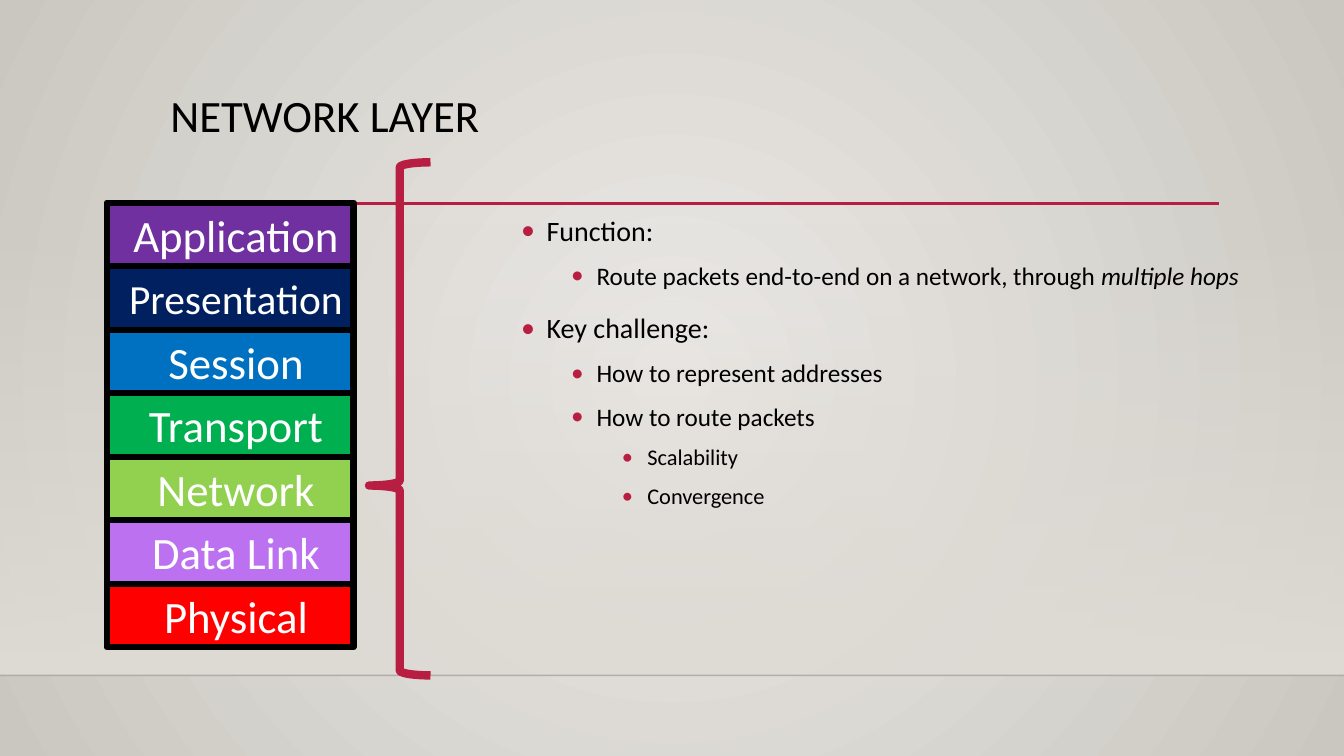
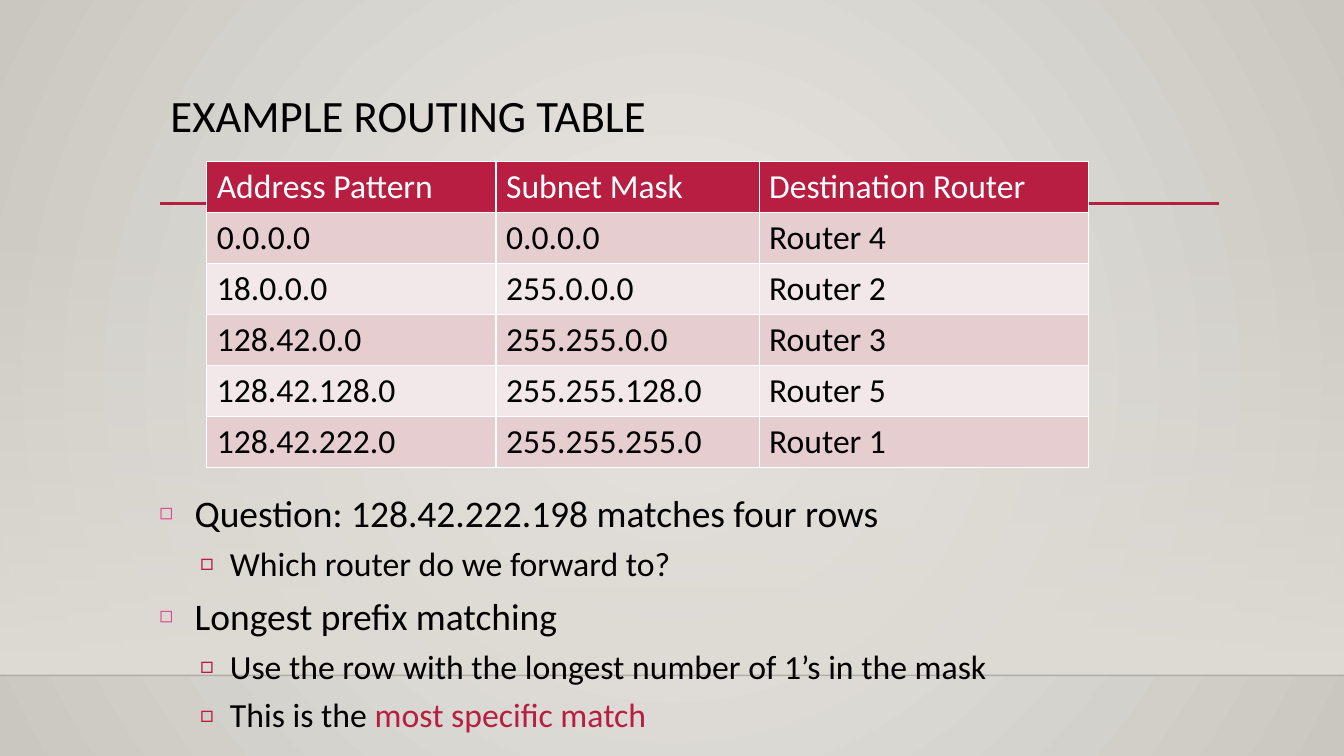
"""Build two slides about the network layer and its routing table."""
from dataclasses import dataclass
from typing import Any, NamedTuple

from lxml.etree import SubElement
from pptx import Presentation
from pptx.dml.color import RGBColor
from pptx.enum.shapes import MSO_CONNECTOR as Connector, MSO_SHAPE as Preset
from pptx.enum.text import MSO_ANCHOR as Anchor, MSO_AUTO_SIZE as AutoSize, PP_ALIGN as Align
from pptx.oxml.ns import qn
from pptx.util import Cm, Length, Pt

BLACK = RGBColor(0x00, 0x00, 0x00)
WHITE = RGBColor(0xFF, 0xFF, 0xFF)
CRIMSON = RGBColor(0xB7, 0x1E, 0x42)
PINK = RGBColor(0xDE, 0x47, 0x8E)
BACKGROUND_LIGHT = RGBColor(0xEC, 0xEA, 0xE7)
BACKGROUND_DARK = RGBColor(0xCA, 0xC7, 0xC1)
BAND = RGBColor(0xDF, 0xDB, 0xD5)
ROW_DARK = RGBColor(0xE6, 0xCD, 0xCF)
ROW_LIGHT = RGBColor(0xF3, 0xE8, 0xE9)
FONT = "Calibri"
SLIDE_WIDTH, SLIDE_HEIGHT = Cm(33.87), Cm(19.05)
FLOOR = Cm(17.02)


class Box(NamedTuple):
    """Position and size of an object."""

    left: Length
    top: Length
    width: Length
    height: Length


@dataclass(frozen=True)
class Level:
    """Format of one list level."""

    size: float
    indent: Length
    hanging: Length
    before: float
    spacing: float = 1.0
    bullet: str = "•"
    bullet_color: RGBColor = CRIMSON
    bullet_percent: int = 100


@dataclass(frozen=True)
class Item:
    """A list entry with an optional emphasised ending."""

    depth: int
    text: str
    emphasis: str = ""


@dataclass(frozen=True)
class Layer:
    """One block of the layer stack."""

    name: str
    color: RGBColor
    size: float = 32


TITLE_BOX = Box(Cm(4.04), Cm(2.24), Cm(26.67), Cm(2.92))
LAYER_LEVELS = [
    Level(20, Cm(0.64), Cm(0.64), 10, 1.2),
    Level(18, Cm(1.9), Cm(0.64), 5, 1.2),
    Level(16, Cm(3.18), Cm(0.64), 5, 1.2),
]
ROUTING_LEVELS = [
    Level(26.8, Cm(0.89), Cm(0.89), 7, 1.0, "◻", PINK, 60),
    Level(24.1, Cm(1.78), Cm(0.76), 5.5, 1.0, "□", CRIMSON, 70),
]
LAYER_ITEMS = [
    Item(0, "Function:"),
    Item(1, "Route packets end-to-end on a network, through ", "multiple hops"),
    Item(0, "Key challenge:"),
    Item(1, "How to represent addresses"),
    Item(1, "How to route packets"),
    Item(2, "Scalability"),
    Item(2, "Convergence"),
]
ROUTING_ITEMS = [
    Item(0, "Question: 128.42.222.198 matches four rows"),
    Item(1, "Which router do we forward to?"),
    Item(0, "Longest prefix matching"),
    Item(1, "Use the row with the longest number of 1’s in the mask"),
    Item(1, "This is the ", "most specific match"),
]
LAYERS = [
    Layer("Application", RGBColor(0x70, 0x30, 0xA0)),
    Layer("Presentation", RGBColor(0x00, 0x20, 0x60), 29.6),
    Layer("Session", RGBColor(0x00, 0x70, 0xC0)),
    Layer("Transport", RGBColor(0x00, 0xB0, 0x50)),
    Layer("Network", RGBColor(0x92, 0xD0, 0x50)),
    Layer("Data Link", RGBColor(0xBC, 0x72, 0xF0)),
    Layer("Physical", RGBColor(0xFF, 0x00, 0x00)),
]
ROUTES = [
    ("Address Pattern", "Subnet Mask", "Destination Router"),
    ("0.0.0.0", "0.0.0.0", "Router 4"),
    ("18.0.0.0", "255.0.0.0", "Router 2"),
    ("128.42.0.0", "255.255.0.0", "Router 3"),
    ("128.42.128.0", "255.255.128.0", "Router 5"),
    ("128.42.222.0", "255.255.255.0", "Router 1"),
]
ROUTE_WIDTHS = [Cm(7.29), Cm(6.63), Cm(8.31)]


def apply(target: Any, values: dict[str, Any]) -> None:
    """Set every named attribute on the target."""
    for name, value in values.items():
        setattr(target, name, value)


def add_run(paragraph: Any, text: str, size: float, color: RGBColor = BLACK,
            italic: bool = False) -> None:
    """Add formatted text to a paragraph."""
    run = paragraph.add_run()
    run.text = text
    apply(run.font, {"name": FONT, "size": Pt(size), "bold": False, "italic": italic})
    run.font.color.rgb = color


def add_color(parent: Any, color: RGBColor) -> None:
    """Add an RGB colour element."""
    SubElement(parent, qn("a:srgbClr"), val=str(color))


def set_alpha(color_element: Any, percent: int) -> None:
    """Make a colour partly transparent."""
    SubElement(color_element, qn("a:alpha"), val=str(percent * 1000))


def set_stops(fill: Any, colors: tuple[RGBColor, RGBColor]) -> None:
    """Give a fill a gradient of two colours."""
    fill.gradient()
    for stop, color in zip(fill.gradient_stops, colors):
        stop.color.rgb = color


def add_rule(slide: Any, left: Length, right: Length, top: Length, color: RGBColor,
             width: float) -> Any:
    """Draw a horizontal rule."""
    rule = slide.shapes.add_connector(Connector.STRAIGHT, left, top, right, top)
    rule.line.color.rgb = color
    rule.line.width = Pt(width)
    SubElement(rule.element.spPr, qn("a:effectLst"))
    return rule


def build_master(master: Any, slide: Any) -> None:
    """Put the shared background, band and rules on the master."""
    set_stops(master.background.fill, (BACKGROUND_LIGHT, BACKGROUND_DARK))
    linear = master.element.xpath("./p:cSld/p:bg//a:lin")[0]
    gradient = linear.getparent()
    gradient.remove(linear)
    circle = SubElement(gradient, qn("a:path"), path="circle")
    SubElement(circle, qn("a:fillToRect"), dict.fromkeys("ltrb", "50000"))

    band_top = Cm(5.61)
    band = slide.shapes.add_shape(Preset.RECTANGLE, 0, band_top, SLIDE_WIDTH, FLOOR - band_top)
    band.shadow.inherit = False
    band.line.fill.background()
    set_stops(band.fill, (BAND, BAND))
    band.fill.gradient_angle = 270
    set_alpha(band.element.xpath(".//a:gs[1]/a:srgbClr")[0], 0)

    floor = add_rule(slide, Cm(0), SLIDE_WIDTH, FLOOR, BLACK, 1)
    set_alpha(floor.element.xpath(".//a:ln//a:srgbClr")[0], 20)
    title_rule = add_rule(slide, Cm(4.04), Cm(30.73), Cm(5.13), CRIMSON, 2.5)
    for offset, shape in enumerate((band, floor, title_rule)):
        shape.element.xpath(".//p:cNvPr")[0].set("id", str(100 + offset))
        master.shapes.element.insert(2 + offset, shape.element)


def set_title(slide: Any, text: str) -> None:
    """Fill and place the title."""
    title = slide.shapes.title
    apply(title, TITLE_BOX._asdict())
    apply(title.text_frame, {"vertical_anchor": Anchor.TOP, "auto_size": AutoSize.NONE,
                             "word_wrap": True})
    paragraph = title.text_frame.paragraphs[0]
    apply(paragraph, {"alignment": Align.LEFT, "line_spacing": 0.9})
    add_run(paragraph, text, 32)


def set_bullet(paragraph: Any, level: Level) -> None:
    """Give a paragraph its indent and bullet."""
    properties = paragraph._p.get_or_add_pPr()
    properties.set("marL", str(level.indent))
    properties.set("indent", str(-level.hanging))
    add_color(SubElement(properties, qn("a:buClr")), level.bullet_color)
    SubElement(properties, qn("a:buSzPct"), val=str(level.bullet_percent * 1000))
    SubElement(properties, qn("a:buFont"), typeface=FONT)
    SubElement(properties, qn("a:buChar"), char=level.bullet)


def set_list(slide: Any, box: Box, items: list[Item], levels: list[Level],
             emphasis: dict[str, Any]) -> None:
    """Fill and place the body list."""
    body = slide.placeholders[1]
    apply(body, box._asdict())
    frame = body.text_frame
    apply(frame, {"vertical_anchor": Anchor.TOP, "auto_size": AutoSize.NONE, "word_wrap": True})
    for index, item in enumerate(items):
        paragraph = frame.add_paragraph() if index else frame.paragraphs[0]
        level = levels[item.depth]
        apply(paragraph, {"level": item.depth, "alignment": Align.LEFT,
                          "line_spacing": level.spacing, "space_before": Pt(level.before),
                          "space_after": Pt(0)})
        set_bullet(paragraph, level)
        add_run(paragraph, item.text, level.size)
        if item.emphasis:
            add_run(paragraph, item.emphasis, level.size, **emphasis)


def add_layer(slide: Any, layer: Layer, box: Box) -> None:
    """Draw one block of the layer stack."""
    block = slide.shapes.add_shape(Preset.RECTANGLE, *box)
    block.shadow.inherit = False
    block.fill.solid()
    block.fill.fore_color.rgb = layer.color
    block.line.color.rgb = BLACK
    block.line.width = Pt(4.5)
    apply(block.text_frame, {"word_wrap": True, "vertical_anchor": Anchor.MIDDLE,
                             "margin_left": Cm(0.12), "margin_right": Cm(0.12)})
    paragraph = block.text_frame.paragraphs[0]
    apply(paragraph, {"alignment": Align.CENTER, "space_before": Pt(layer.size * 0.2)})
    paragraph._p.get_or_add_pPr().set("marL", str(Cm(0.3)))
    add_run(paragraph, layer.name, layer.size, WHITE)


def add_brace(slide: Any, box: Box) -> None:
    """Draw the brace that points at the network block."""
    brace = slide.shapes.add_shape(Preset.LEFT_BRACE, *box)
    brace.shadow.inherit = False
    brace.fill.background()
    brace.line.color.rgb = CRIMSON
    brace.line.width = Pt(6)
    brace.adjustments[0], brace.adjustments[1] = 0.08, 0.63


def format_cell(cell: Any, text: str, fill: RGBColor, color: RGBColor) -> None:
    """Fill a table cell and give it white borders."""
    properties = cell._tc.get_or_add_tcPr()
    for side in "LRTB":
        border = SubElement(properties, qn(f"a:ln{side}"), w=str(Pt(1)))
        add_color(SubElement(border, qn("a:solidFill")), WHITE)
    cell.fill.solid()
    cell.fill.fore_color.rgb = fill
    add_run(cell.text_frame.paragraphs[0], text, 24, color)


def add_routes(slide: Any, left: Length, top: Length, row_height: Length) -> None:
    """Draw the routing table."""
    table = slide.shapes.add_table(len(ROUTES), len(ROUTE_WIDTHS), left, top,
                                   sum(ROUTE_WIDTHS), row_height * len(ROUTES)).table
    for column, width in zip(table.columns, ROUTE_WIDTHS):
        column.width = width
    for row, texts in enumerate(ROUTES):
        band = ROW_DARK if row % 2 else ROW_LIGHT
        fill, color = (band, BLACK) if row else (CRIMSON, WHITE)
        for column, text in enumerate(texts):
            format_cell(table.cell(row, column), text, fill, color)


def main() -> None:
    """Build and save the presentation."""
    presentation = Presentation()
    apply(presentation, {"slide_width": SLIDE_WIDTH, "slide_height": SLIDE_HEIGHT})
    layout = presentation.slide_layouts[1]

    layer_slide = presentation.slides.add_slide(layout)
    build_master(presentation.slide_master, layer_slide)
    set_title(layer_slide, "NETWORK LAYER")
    set_list(layer_slide, Box(Cm(12.88), Cm(5.08), Cm(18.67), Cm(12.09)), LAYER_ITEMS,
             LAYER_LEVELS, {"italic": True})
    block_height = Cm(1.6)
    for index, layer in enumerate(LAYERS):
        top = Cm(5.11) + index * block_height
        add_layer(layer_slide, layer, Box(Cm(2.69), top, Cm(6.22), block_height))
    add_brace(layer_slide, Box(Cm(9.3), Cm(4.09), Cm(1.55), Cm(12.93)))

    routing_slide = presentation.slides.add_slide(layout)
    set_title(routing_slide, "EXAMPLE ROUTING TABLE")
    add_routes(routing_slide, Cm(5.21), Cm(4.06), Cm(1.28))
    set_list(routing_slide, Box(Cm(3.76), Cm(12.22), Cm(24.97), Cm(6.2)), ROUTING_ITEMS,
             ROUTING_LEVELS, {"color": CRIMSON})
    presentation.save("out.pptx")


if __name__ == "__main__":
    main()
